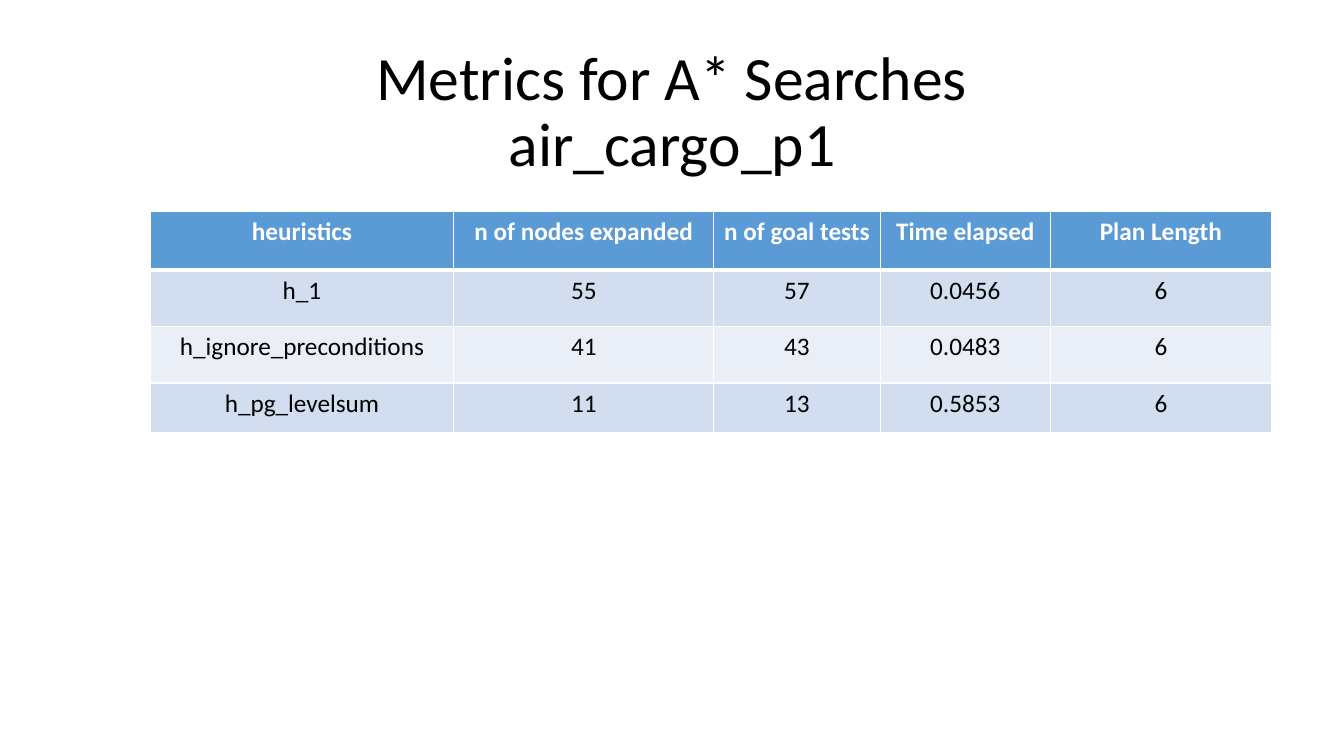
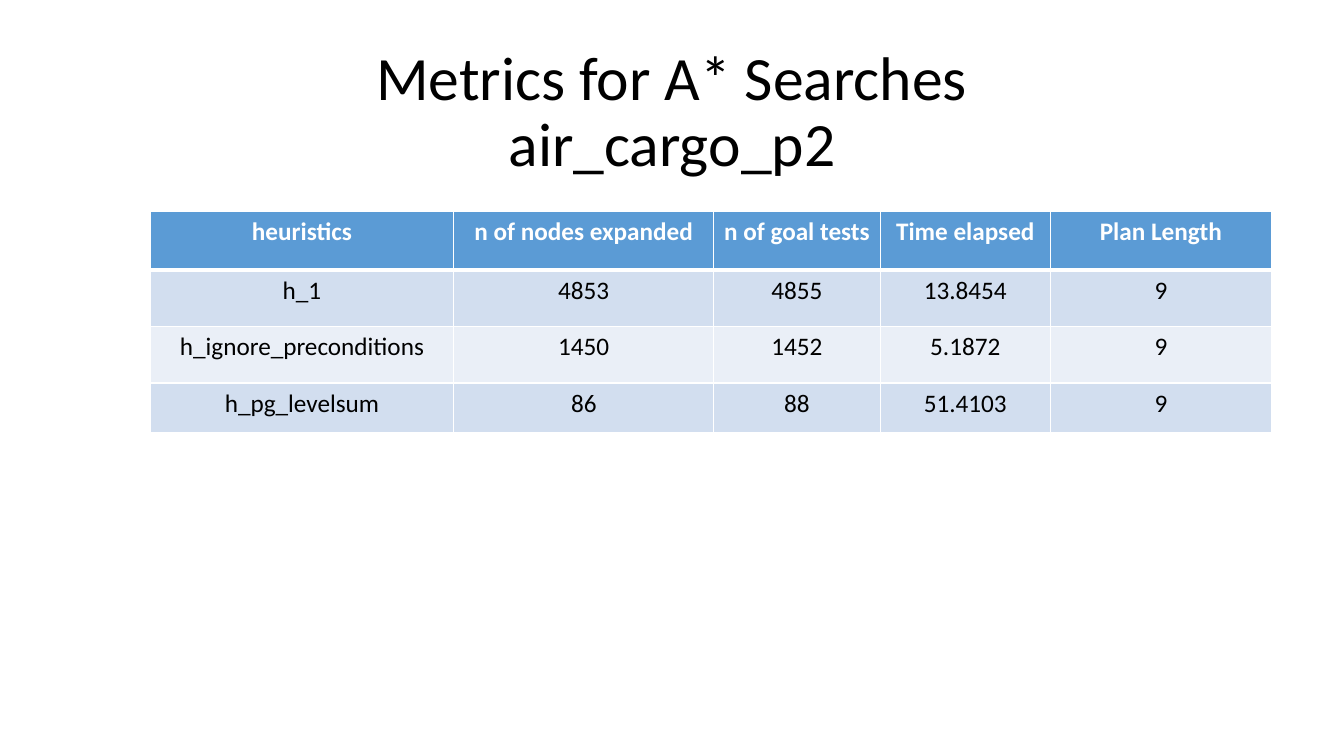
import dataclasses

import lxml.etree
import pptx
import pptx.dml.color
import pptx.enum.text
import pptx.oxml.ns
import pptx.util

RGBColor = pptx.dml.color.RGBColor
Anchor = pptx.enum.text.MSO_ANCHOR

# Shared look
FONT = "Calibri"
BLACK = RGBColor(0x00, 0x00, 0x00)
WHITE = RGBColor(0xFF, 0xFF, 0xFF)
HEADER_BLUE = RGBColor(0x5B, 0x9B, 0xD5)
BAND_COLORS = (RGBColor(0xD2, 0xDE, 0xEF), RGBColor(0xEA, 0xEF, 0xF7))
THIN, THICK = pptx.util.Pt(1), pptx.util.Pt(3)

SLIDE_WIDTH = pptx.util.Inches(13.33)
SLIDE_HEIGHT = pptx.util.Inches(7.5)


@dataclasses.dataclass(frozen=True)
class Area:
    """A rectangle in percent of the slide's width and height."""
    left: float
    top: float
    width: float
    height: float

    def lengths(self) -> tuple[int, int, int, int]:
        return (
            round(SLIDE_WIDTH * self.left / 100),
            round(SLIDE_HEIGHT * self.top / 100),
            round(SLIDE_WIDTH * self.width / 100),
            round(SLIDE_HEIGHT * self.height / 100),
        )


@dataclasses.dataclass(frozen=True)
class Result:
    heuristic: str
    nodes_expanded: str
    goal_tests: str
    time_elapsed: str
    plan_length: str


@dataclasses.dataclass(frozen=True)
class Problem:
    name: str
    results: tuple[Result, ...]


TITLE_AREA = Area(6.88, 5.33, 86.25, 19.33)
TABLE_AREA = Area(11.18, 28, 83.42, 29.2)

# Relative sizes of the table's columns and rows
COLUMN_SHARES = (301, 258, 165, 169, 219)
ROW_SHARES = (58, 56, 56, 49)

HEADINGS = ("heuristics", "n of nodes expanded", "n of goal tests",
            "Time elapsed", "Plan Length")

PROBLEMS = (
    Problem("air_cargo_p1", (
        Result("h_1", "55", "57", "0.0456", "6"),
        Result("h_ignore_preconditions", "41", "43", "0.0483", "6"),
        Result("h_pg_levelsum", "11", "13", "0.5853", "6"),
    )),
    Problem("air_cargo_p2", (
        Result("h_1", "4853", "4855", "13.8454", "9"),
        Result("h_ignore_preconditions", "1450", "1452", "5.1872", "9"),
        Result("h_pg_levelsum", "86", "88", "51.4103", "9"),
    )),
)


def write_text(frame, text: str, *, size: float = 18, color: RGBColor = BLACK,
               bold: bool = False, line_spacing: float = 1.0) -> None:
    """Write one centred paragraph, with a line break at each newline."""
    para = frame.paragraphs[0]
    para.alignment = pptx.enum.text.PP_ALIGN.CENTER
    para.line_spacing = line_spacing
    for number, line in enumerate(text.split("\n")):
        if number:
            para.add_line_break()
        span = para.add_run()
        span.text = line
        span.font.name = FONT
        span.font.size = pptx.util.Pt(size)
        span.font.bold = bold
        span.font.color.rgb = color


def set_borders(cell, *, top: int, bottom: int) -> None:
    properties = cell._tc.get_or_add_tcPr()
    qn = pptx.oxml.ns.qn
    for side, width in (("L", THIN), ("R", THIN), ("T", top), ("B", bottom)):
        line = lxml.etree.SubElement(properties, qn(f"a:ln{side}"), w=str(int(width)))
        fill = lxml.etree.SubElement(line, qn("a:solidFill"))
        lxml.etree.SubElement(fill, qn("a:srgbClr"), val=str(WHITE))


def split(total: int, shares: tuple[int, ...]) -> list[int]:
    return [round(total * share / sum(shares)) for share in shares]


def add_title(page, text: str) -> None:
    box = page.shapes.add_textbox(*TITLE_AREA.lengths())
    box.text_frame.word_wrap = True
    box.text_frame.vertical_anchor = Anchor.MIDDLE
    write_text(box.text_frame, text, size=44, line_spacing=0.9)


def add_results(page, results: tuple[Result, ...]) -> None:
    rows = [HEADINGS, *map(dataclasses.astuple, results)]
    left, top, width, height = TABLE_AREA.lengths()
    table = page.shapes.add_table(
        len(rows), len(HEADINGS), left, top, width, height).table
    for column, size in zip(table.columns, split(width, COLUMN_SHARES)):
        column.width = size
    for row, size in zip(table.rows, split(height, ROW_SHARES)):
        row.height = size

    for row_index, values in enumerate(rows):
        header = row_index == 0
        fill = HEADER_BLUE if header else BAND_COLORS[(row_index - 1) % 2]
        for column_index, value in enumerate(values):
            cell = table.cell(row_index, column_index)
            cell.margin_left = cell.margin_right = pptx.util.Inches(0.07)
            cell.vertical_anchor = Anchor.TOP
            # The heavy rule lies between the header and the first result
            set_borders(cell, top=THICK if row_index == 1 else THIN,
                        bottom=THICK if header else THIN)
            cell.fill.solid()
            cell.fill.fore_color.rgb = fill
            write_text(cell.text_frame, value, bold=header,
                       color=WHITE if header else BLACK)


def main() -> None:
    deck = pptx.Presentation()
    deck.slide_width, deck.slide_height = SLIDE_WIDTH, SLIDE_HEIGHT
    blank = deck.slide_layouts.get_by_name("Blank")
    for problem in PROBLEMS:
        page = deck.slides.add_slide(blank)
        add_title(page, f"Metrics for A* Searches\n{problem.name}")
        add_results(page, problem.results)
    deck.save("out.pptx")


if __name__ == "__main__":
    main()
